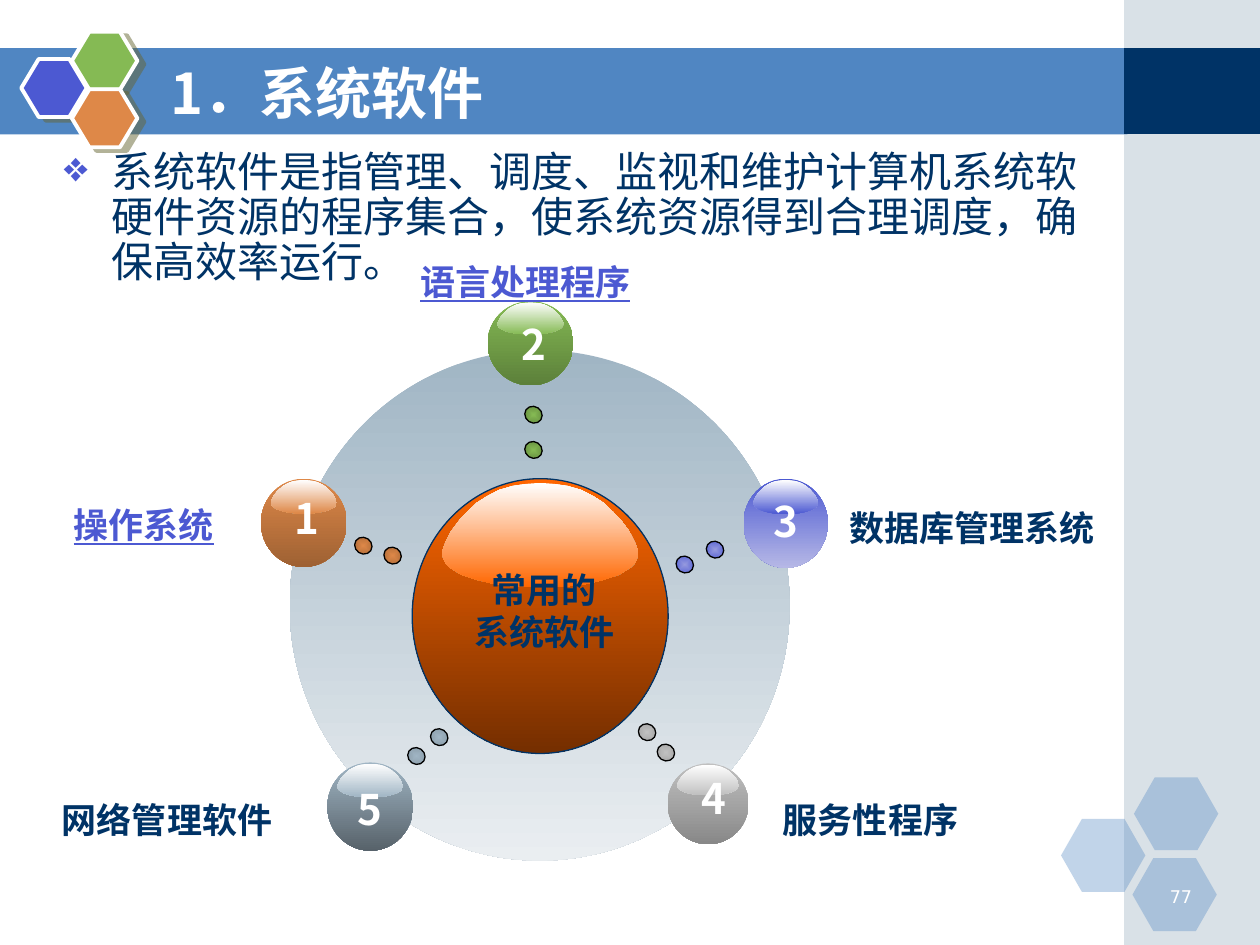
from dataclasses import dataclass
from typing import NamedTuple

from lxml import etree
from pptx import Presentation
from pptx.dml.color import RGBColor
from pptx.enum.shapes import MSO_SHAPE
from pptx.enum.text import MSO_ANCHOR, MSO_AUTO_SIZE, PP_ALIGN
from pptx.oxml.ns import qn
from pptx.util import Cm, Pt

RECTANGLE, OVAL, HEXAGON = MSO_SHAPE.RECTANGLE, MSO_SHAPE.OVAL, MSO_SHAPE.HEXAGON
LEFT, CENTER, RIGHT = PP_ALIGN.LEFT, PP_ALIGN.CENTER, PP_ALIGN.RIGHT
TOP, MIDDLE = MSO_ANCHOR.TOP, MSO_ANCHOR.MIDDLE
FIT_SHAPE = MSO_AUTO_SIZE.SHAPE_TO_FIT_TEXT


@dataclass(frozen=True)
class Theme:
    font: str = "Noto Sans CJK SC"
    number_font: str = "DejaVu Sans"
    white: str = "FFFFFF"
    black: str = "000000"
    navy: str = "003366"
    band: str = "5086C2"
    steel: str = "A0B5C4"
    mist: str = "EAEEF1"
    violet: str = "4C59D2"
    green: str = "85BA54"
    copper: str = "DE8848"
    silver: str = "C0C0C0"
    orange: str = "FF6600"
    rust: str = "742E00"
    shadow: str = "666633"
    title_size: int = 32
    body_size: int = 24
    label_size: int = 20
    page_size: int = 10


THEME = Theme()


class Box(NamedTuple):
    """Left, top, width and height in centimetres."""
    left: float
    top: float
    width: float
    height: float

    def lengths(self) -> list:
        return [Cm(value) for value in self]


class Category(NamedTuple):
    label: str
    label_at: tuple  # left, top, width
    linked: bool
    orb: Box
    number_at: tuple
    colors: tuple
    dot_colors: tuple
    dots: tuple


CATEGORIES = [
    Category("操作系统", (0.51, 10.03, 4.78), True, Box(5.26, 9.65, 1.73, 1.78), (5.69, 9.8),
             (THEME.copper, "9E6133"), (THEME.copper, "A96736"), ((7.16, 10.82), (7.75, 11.02))),
    Category("语言处理程序", (7.49, 5.13, 6.2), True, Box(9.83, 6.07, 1.73, 1.7), (10.26, 6.3),
             (THEME.green, "5C803A"), (THEME.green, "60863C"), ((10.59, 8.18), (10.59, 8.89))),
    Category("数据库管理系统", (16.69, 10.08, 5.82), False, Box(14.99, 9.65, 1.7, 1.8), (15.34, 9.86),
             (THEME.violet, "B6B8E6"), ("9599DE", THEME.violet), ((14.25, 10.9), (13.64, 11.2))),
    Category("服务性程序", (15.16, 15.98, 4.78), False, Box(13.46, 15.39, 1.63, 1.63), (13.89, 15.44),
             (THEME.silver, "888888"), (THEME.silver, "A1A1A1"), ((13.26, 14.99), (12.88, 14.58))),
    Category("网络管理软件", (0.51, 15.98, 5.72), False, Box(6.6, 15.37, 1.73, 1.78), (6.96, 15.67),
             (THEME.steel, "57626A"), (THEME.steel, "8698A4"), ((8.23, 15.06), (8.69, 14.68))),
]

# Right half of the highlight on a sphere, as fractions of its box.
GLOSS_HALF = [(0.5, 0), (0.57, 0.01), (0.64, 0.03), (0.71, 0.07), (0.77, 0.13), (0.82, 0.19),
              (0.87, 0.28), (0.91, 0.36), (0.95, 0.46), (0.98, 0.57), (1, 0.67), (0.99, 0.73),
              (0.98, 0.77), (0.96, 0.81), (0.9, 0.88), (0.82, 0.93), (0.73, 0.97), (0.6, 1)]
GLOSS_OUTLINE = GLOSS_HALF + [(1 - x, y) for x, y in reversed(GLOSS_HALF[1:])]


def add_node(parent, tag: str, **attributes):
    return etree.SubElement(parent, qn(tag), {key: str(value) for key, value in attributes.items()})


def paint(shape, fill, line: str = "", line_width: float = 0.75, alpha: int = 100,
          radial: bool = False) -> None:
    """Fill with one colour, or with a gradient when given a pair."""
    shape.shadow.inherit = False
    if isinstance(fill, tuple):
        shape.fill.gradient()
        shape.fill.gradient_angle = 270
        for stop, position, color in zip(shape.fill.gradient_stops, (0, 1), fill):
            stop.position = position
            stop.color.rgb = RGBColor.from_string(color)
        if radial:
            gradient = shape._element.spPr.find(qn("a:gradFill"))
            gradient.remove(gradient.find(qn("a:lin")))
            center = add_node(gradient, "a:path", path="shape")
            add_node(center, "a:fillToRect", l=50000, t=50000, r=50000, b=50000)
    else:
        shape.fill.solid()
        shape.fill.fore_color.rgb = RGBColor.from_string(fill)
        if alpha < 100:
            color = shape._element.spPr.find(qn("a:solidFill"))[0]
            add_node(color, "a:alpha", val=alpha * 1000)
    if line:
        shape.line.color.rgb = RGBColor.from_string(line)
        shape.line.width = Pt(line_width)
    else:
        shape.line.fill.background()


def add_figure(slide, kind, box: Box, fill, **style):
    shape = slide.shapes.add_shape(kind, *box.lengths())
    paint(shape, fill, **style)
    return shape


def add_hexagon(slide, box: Box, fill: str, adjustment: float, **style):
    hexagon = add_figure(slide, HEXAGON, box, fill, **style)
    hexagon.adjustments[0] = adjustment
    return hexagon


def add_text(slide, box: Box, text: str, *, size: int, color: str, font: str = THEME.font,
             bold: bool = False, underline: bool = False, align=CENTER, anchor=TOP,
             wrap: bool = True, fit: bool = False, bullet: str = "") -> None:
    frame = slide.shapes.add_textbox(*box.lengths()).text_frame
    frame.word_wrap = wrap
    frame.vertical_anchor = anchor
    if fit:
        frame.auto_size = FIT_SHAPE
    frame.text = text
    for paragraph in frame.paragraphs:
        if bullet:
            properties = paragraph._p.get_or_add_pPr()
            properties.set("marL", str(Cm(0.95)))
            properties.set("indent", str(-Cm(0.95)))
            add_node(add_node(properties, "a:buClr"), "a:srgbClr", val=THEME.violet)
            add_node(properties, "a:buChar", char=bullet)
            paragraph.line_spacing = 0.9
        paragraph.alignment = align
        for run in paragraph.runs:
            run.font.size = Pt(size)
            run.font.bold = bold
            run.font.underline = underline
            run.font.color.rgb = RGBColor.from_string(color)
            run.font.name = font
            add_node(run._r.get_or_add_rPr(), "a:ea", typeface=font)


def add_sphere(slide, box: Box, colors: tuple, line: str = "") -> None:
    add_figure(slide, OVAL, box, colors, line=line)
    left, top = box.left + 0.115 * box.width, box.top + 0.015 * box.height
    width, height = 0.77 * box.width, 0.38 * box.height
    points = [(Cm(left + x * width), Cm(top + y * height)) for x, y in GLOSS_OUTLINE]
    builder = slide.shapes.build_freeform(*points[0])
    builder.add_line_segments(points[1:], close=True)
    paint(builder.convert_to_shape(), (THEME.white, colors[0]))


def add_backdrop(slide) -> None:
    add_figure(slide, RECTANGLE, Box(0, 0.97, 22.73, 1.74), THEME.band)
    add_figure(slide, RECTANGLE, Box(22.66, 0, 2.74, 19.05), THEME.steel, alpha=40)
    add_figure(slide, RECTANGLE, Box(22.66, 0.97, 2.74, 1.73), THEME.navy)
    for left, top in ((21.39, 16.51), (22.86, 15.67), (22.83, 17.3)):
        add_hexagon(slide, Box(left, top, 1.7, 1.47), THEME.band, 0.286, alpha=35)
    for left, top, color in ((0.43, 1.19, THEME.violet), (1.45, 0.64, THEME.green),
                             (1.45, 1.8, THEME.copper)):
        hexagon = add_hexagon(slide, Box(left, top, 1.32, 1.17), color, 0.3,
                              line=THEME.white, line_width=2.25)
        effects = hexagon._element.spPr.find(qn("a:effectLst"))
        shadow = add_node(effects, "a:outerShdw", blurRad=0, dist=Pt(4.5), dir=27 * 60000,
                          algn="ctr", rotWithShape=0)
        add_node(add_node(shadow, "a:srgbClr", val=THEME.shadow), "a:alpha", val=50000)


def add_category(slide, number: int, category: Category) -> None:
    add_sphere(slide, category.orb, category.colors)
    add_text(slide, Box(*category.number_at, 0.94, 1.27), str(number), size=THEME.body_size,
             color=THEME.white, bold=True, wrap=False, fit=True)
    for left, top in category.dots:
        dot = add_figure(slide, OVAL, Box(left, top, 0.33, 0.36), category.dot_colors,
                         line=THEME.black, radial=True)
        dot.rotation = 303.8
    add_text(slide, Box(*category.label_at, 1.09), category.label, size=THEME.label_size,
             color=THEME.violet if category.linked else THEME.navy, bold=True,
             underline=category.linked, fit=True)


def main() -> None:
    deck = Presentation()
    deck.slide_width, deck.slide_height = Cm(25.4), Cm(19.05)
    slide = deck.slides.add_slide(deck.slide_layouts[6])
    add_backdrop(slide)
    add_text(slide, Box(23.01, 17.73, 1.27, 0.64), "77", size=THEME.page_size,
             color=THEME.white, font=THEME.number_font, align=RIGHT)
    add_text(slide, Box(1.04, 2.92, 21.67, 3.33),
             "系统软件是指管理、调度、监视和维护计算机系统软硬件资源的程序集合，使系统资源得到合理调度，确保高效率运行。",
             size=THEME.body_size, color=THEME.navy, align=LEFT, bullet="❖")
    add_figure(slide, OVAL, Box(5.84, 7.06, 10.08, 10.29), (THEME.steel, THEME.mist))
    add_sphere(slide, Box(8.31, 9.65, 5.16, 5.54), (THEME.orange, THEME.rust), line=THEME.navy)
    add_text(slide, Box(9.3, 11.33, 3.35, 1.96), "常用的\n系统软件", size=THEME.label_size,
             color=THEME.navy, bold=True, wrap=False, fit=True)
    for number, category in enumerate(CATEGORIES, start=1):
        add_category(slide, number, category)
    add_text(slide, Box(3.18, 1.07, 18.62, 1.57), "1．系统软件", size=THEME.title_size,
             color=THEME.white, bold=True, align=LEFT, anchor=MIDDLE)
    deck.save("out.pptx")


if __name__ == "__main__":
    main()
